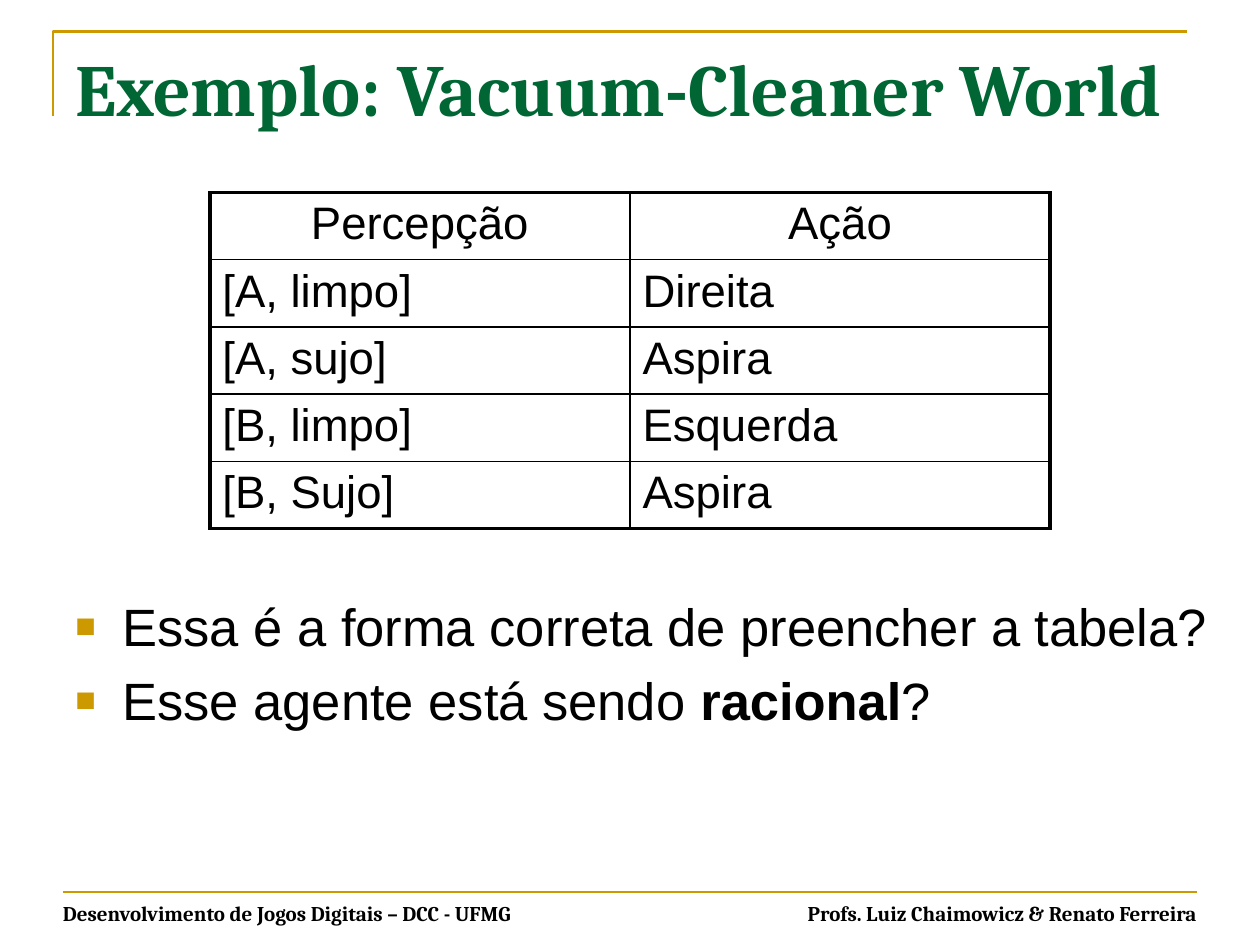
import pptx
import pptx.util
import pptx.dml.color
import pptx.enum.text
import pptx.enum.shapes
import pptx.oxml
import pptx.oxml.ns
from lxml import etree

Cm = pptx.util.Cm
Pt = pptx.util.Pt
RGB = pptx.dml.color.RGBColor
Align = pptx.enum.text.PP_ALIGN
Anchor = pptx.enum.text.MSO_ANCHOR
qn = pptx.oxml.ns.qn

GOLD = RGB(0xCC, 0x99, 0x00)
GREEN = RGB(0x00, 0x66, 0x33)
BLACK = RGB(0, 0, 0)
ROWS = [("Percepção", "Ação"), ("[A, limpo]", "Direita"), ("[A, sujo]", "Aspira"),
        ("[B, limpo]", "Esquerda"), ("[B, Sujo]", "Aspira")]
ITEMS = [[("Essa é a forma correta de preencher a tabela?", False)],
         [("Esse agente está sendo ", False), ("racional", True), ("?", False)]]


def add_run(para, text, font, size, color=BLACK, bold=False):
    """Add one styled run to a paragraph."""
    run = para.add_run()
    run.text = text
    run.font.name = font
    run.font.size = Pt(size)
    run.font.bold = bold
    run.font.color.rgb = color


def add_box(slide, x, y, w, h, anchor=Anchor.TOP, flush=False):
    """Add a wrapping text box and return its frame."""
    frame = slide.shapes.add_textbox(Cm(x), Cm(y), Cm(w), Cm(h)).text_frame
    frame.word_wrap = True
    frame.vertical_anchor = anchor
    if flush:
        frame.margin_left = frame.margin_right = 0
        frame.margin_top = frame.margin_bottom = 0
    return frame


def add_head(slide, x, y, w, h):
    """Draw the corner rule and the title below it."""
    pen = slide.shapes.build_freeform(Cm(x), Cm(y + 1.7))
    pen.add_line_segments([(Cm(x), Cm(y)), (Cm(x + w), Cm(y))], close=False)
    rule = pen.convert_to_shape()
    rule.shadow.inherit = False
    rule.fill.background()
    rule.line.color.rgb = GOLD
    rule.line.width = Pt(1.5)
    frame = add_box(slide, x + 0.2, y + 0.12, w, h)
    add_run(frame.paragraphs[0], "Exemplo: Vacuum-Cleaner World", "Cambria", 42, GREEN, True)


def set_edge(cell, side, width):
    """Draw one border of a cell."""
    edge = etree.SubElement(cell._tc.get_or_add_tcPr(), qn("a:ln" + side), w=str(Pt(width)))
    fill = etree.SubElement(edge, qn("a:solidFill"))
    etree.SubElement(fill, qn("a:srgbClr"), val=str(BLACK))


def add_grid(slide, x, y, w, h):
    """Place the table of percepts and actions."""
    high, wide = len(ROWS), len(ROWS[0])
    grid = slide.shapes.add_table(high, wide, Cm(x), Cm(y), Cm(w), Cm(h)).table
    grid.first_row = grid.horz_banding = False
    for i, row in enumerate(ROWS):
        for j, text in enumerate(row):
            cell = grid.cell(i, j)
            outer = {"L": j == 0, "R": j == wide - 1, "T": i == 0, "B": i == high - 1}
            for side, thick in outer.items():
                set_edge(cell, side, 2.25 if thick else 1)
            cell.fill.background()
            para = cell.text_frame.paragraphs[0]
            para.alignment = Align.CENTER if i == 0 else Align.LEFT
            add_run(para, text, "Arial", 26)


def add_list(slide, x, y, w, h):
    """Place the bulleted questions."""
    frame = add_box(slide, x, y, w, h)
    for i, item in enumerate(ITEMS):
        para = frame.add_paragraph() if i else frame.paragraphs[0]
        para.space_before = Pt(6)
        props = para._p.get_or_add_pPr()
        props.set("marL", str(Cm(0.95)))
        props.set("indent", str(-Cm(0.95)))
        tint = etree.SubElement(props, qn("a:buClr"))
        etree.SubElement(tint, qn("a:srgbClr"), val=str(GOLD))
        etree.SubElement(props, qn("a:buSzPct"), val="65000")
        etree.SubElement(props, qn("a:buFont"), typeface="Arial")
        etree.SubElement(props, qn("a:buChar"), char="■")
        for text, bold in item:
            add_run(para, text, "Arial", 30, bold=bold)


def add_foot(slide, x, y, w, h):
    """Draw the footer rule with a credit at each end."""
    kind = pptx.enum.shapes.MSO_CONNECTOR.STRAIGHT
    rule = slide.shapes.add_connector(kind, Cm(x), Cm(y), Cm(x + w), Cm(y))
    rule.line.color.rgb = GOLD
    rule.line.width = Pt(1.5)
    etree.SubElement(rule._element.spPr, qn("a:effectLst"))
    half = w / 2
    for left, text, side in (
            (x, "Desenvolvimento de Jogos Digitais – DCC - UFMG", Align.LEFT),
            (x + half, "Profs. Luiz Chaimowicz & Renato Ferreira", Align.RIGHT)):
        para = add_box(slide, left, y, half, h, Anchor.MIDDLE, True).paragraphs[0]
        para.alignment = side
        add_run(para, text, "Cambria", 12, bold=True)


deck = pptx.Presentation()
deck.slide_width, deck.slide_height = Cm(25.4), Cm(19.05)
page = deck.slides.add_slide(deck.slide_layouts[6])
add_head(page, 1.07, 0.63, 22.86, 2.41)
add_grid(page, 4.23, 3.88, 16.94, 6.4)
add_list(page, 1.27, 11.86, 23.57, 5.72)
add_foot(page, 1.27, 17.98, 22.86, 0.87)
deck.save("out.pptx")
